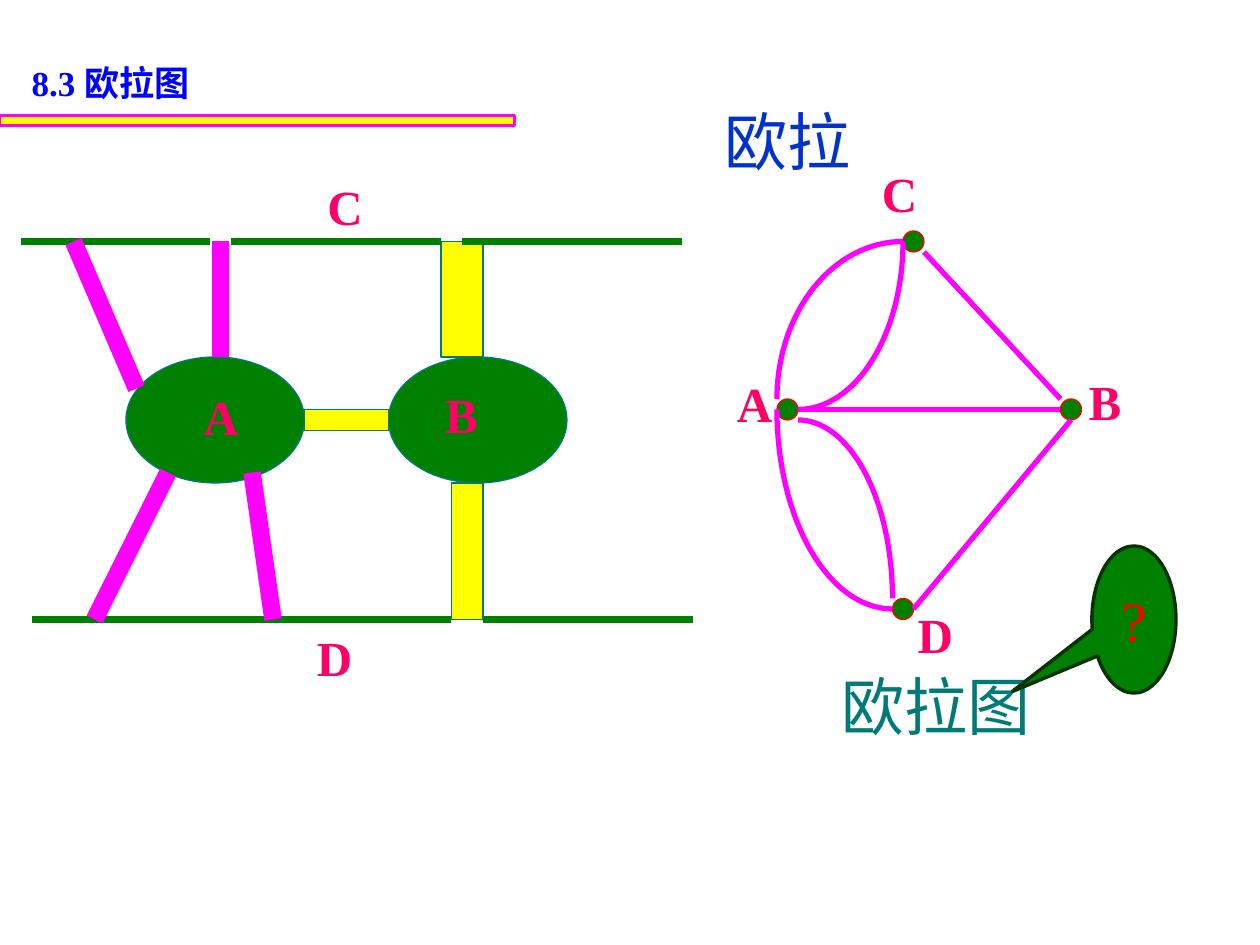
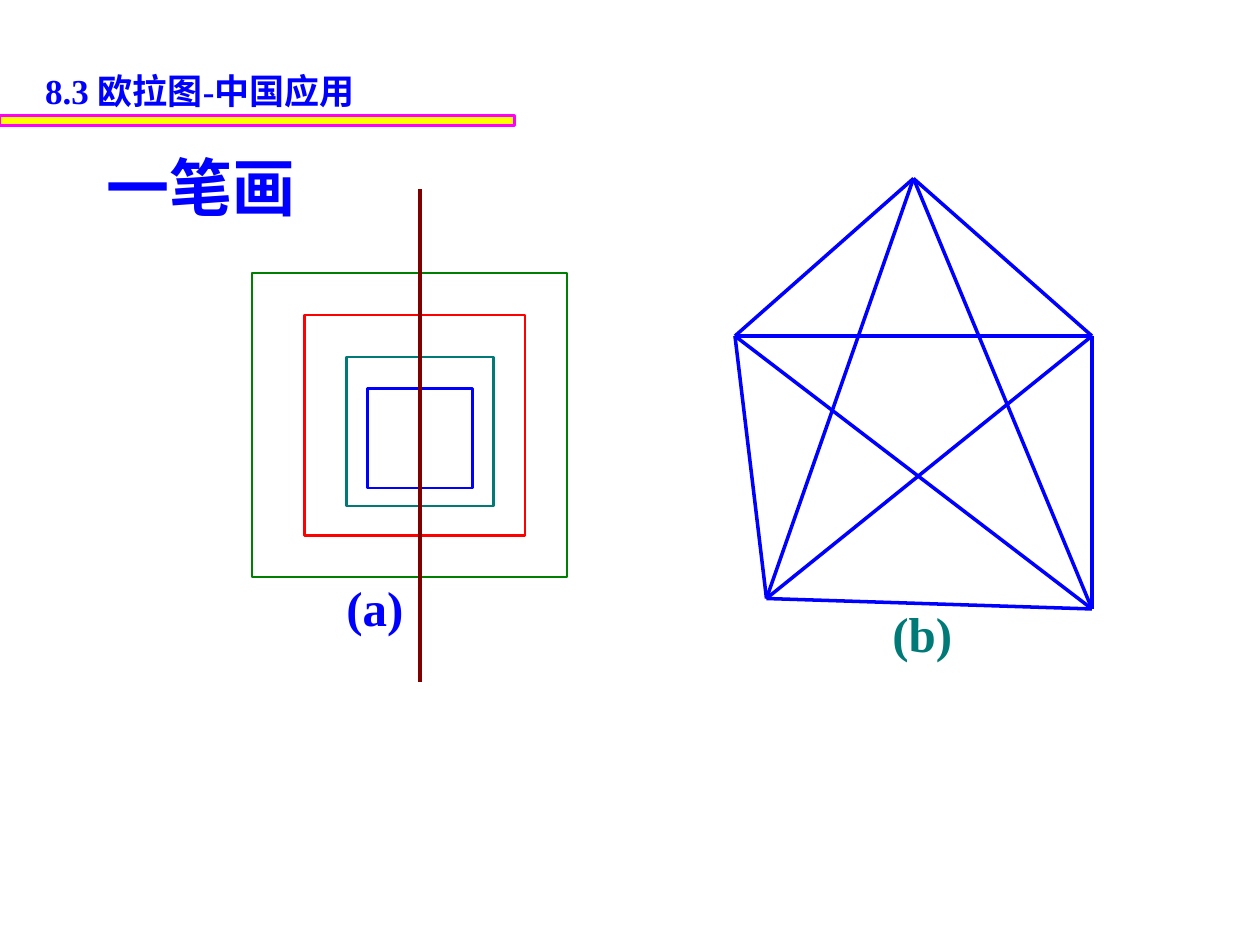
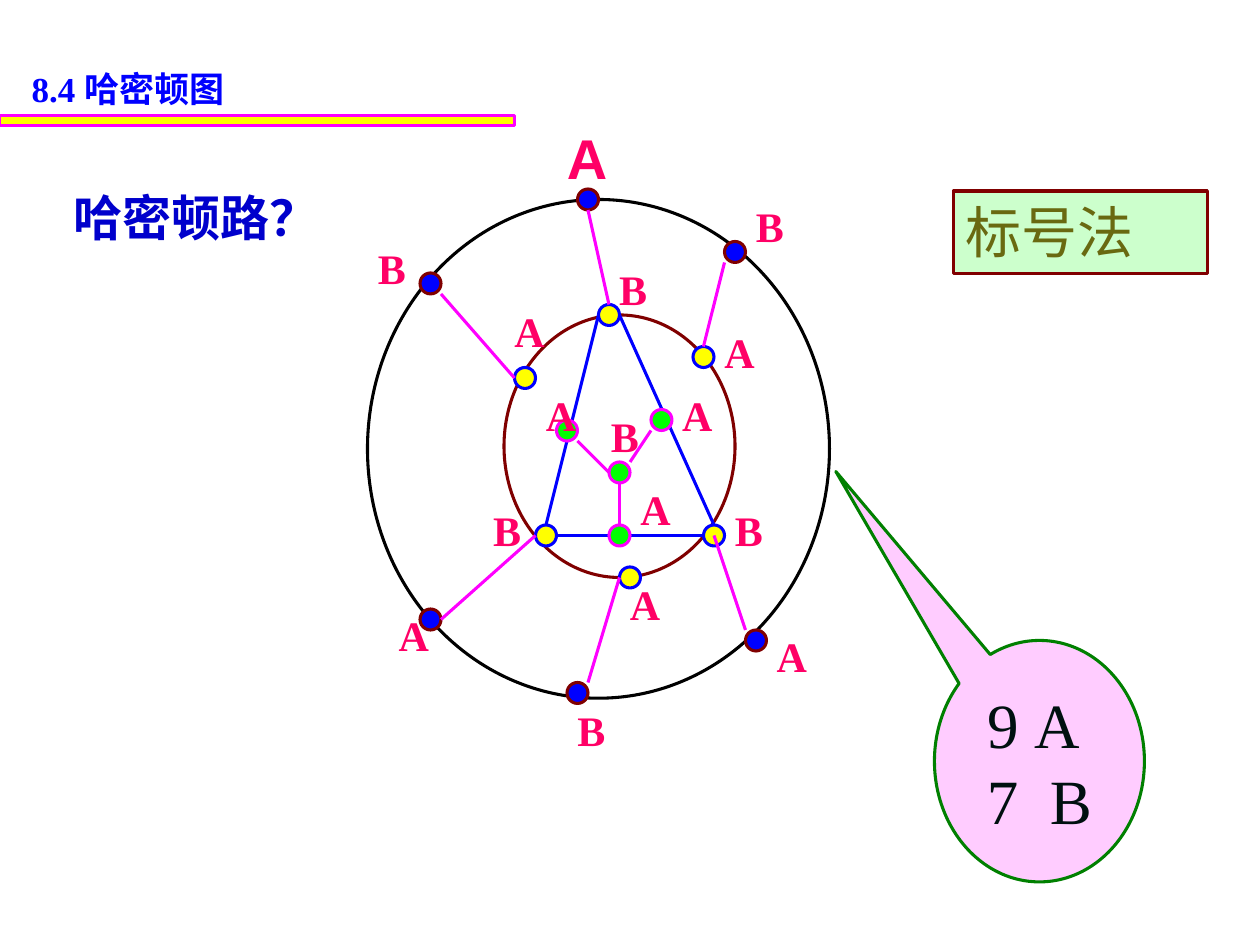
from itertools import combinations
from math import cos, pi, sin
from typing import NamedTuple, Optional

from lxml import etree
from pptx import Presentation
from pptx import util as u
from pptx.dml.color import RGBColor
from pptx.enum import shapes, text
from pptx.oxml import ns

COLORS = {
    "blue": "0000FF", "royal": "0033CC", "navy": "0000CC",
    "magenta": "FF00FF", "rose": "FF0066", "red": "FF0000",
    "maroon": "800000", "yellow": "FFFF00", "green": "008000",
    "forest": "003300", "lime": "00FF00", "teal": "007A77",
    "mint": "CCFFCC", "pink": "FFCCFF", "olive": "696911",
    "ink": "001010", "black": "000000",
}
SERIF, SANS = "Times New Roman", "Arial"
RECT, OVAL = shapes.MSO_SHAPE.RECTANGLE, shapes.MSO_SHAPE.OVAL
CALLOUT = shapes.MSO_SHAPE.OVAL_CALLOUT
DOT = 2  # node diameter in grid steps


class Style(NamedTuple):
    fill: Optional[str]
    line: str
    weight: float


class Box(NamedTuple):
    x: float
    y: float
    w: float
    h: float


class Label(NamedTuple):
    text: str
    x: float
    y: float
    size: int = 28
    color: str = "rose"
    font: str = SERIF
    bold: bool = True
    width: Optional[float] = None
    wrap: bool = False


class Arc(NamedTuple):
    """Quarter ellipse about (cx, cy), from (cx, cy + dy) to (cx + dx, cy)."""
    cx: float
    cy: float
    dx: float
    dy: float


def grid(n: float) -> int:
    """Length of n grid steps, twelve to 2.54 cm."""
    return round(n * u.Cm(2.54) / 12)


def rgb(name: str) -> RGBColor:
    return RGBColor.from_string(COLORS[name])


def set_font(p, size: int, color: str, font: str = SERIF, bold: bool = False) -> None:
    p.font.name, p.font.size, p.font.bold = font, u.Pt(size), bold
    p.font.color.rgb = rgb(color)


def set_line(sp, color: str, weight: float) -> None:
    sp.line.color.rgb = rgb(color)
    sp.line.width = u.Pt(weight)


def text_height(size: int) -> float:
    """Grid steps taken by one line of text with its insets."""
    return 0.2 * size + 1.2


def add_shape(s, kind, box: Box, style: Style):
    sp = s.shapes.add_shape(kind, *map(grid, box))
    sp.shadow.inherit = False
    if style.fill:
        sp.fill.solid()
        sp.fill.fore_color.rgb = rgb(style.fill)
    else:
        sp.fill.background()
    set_line(sp, style.line, style.weight)
    return sp


def add_dots(s, corners, style: Style) -> None:
    for x, y in corners:
        add_shape(s, OVAL, Box(x, y, DOT, DOT), style)


def add_lines(s, ends, color: str, weight: float) -> None:
    for end in ends:
        c = s.shapes.add_connector(shapes.MSO_CONNECTOR.STRAIGHT, *map(grid, end))
        set_line(c, color, weight)
        etree.SubElement(c._element.spPr, ns.qn("a:effectLst"))


def add_arc(s, arc: Arc, color: str, weight: float, steps: int = 32) -> None:
    angles = [pi / 2 * i / steps for i in range(steps + 1)]
    points = [(grid(arc.cx + arc.dx * sin(t)), grid(arc.cy + arc.dy * cos(t)))
              for t in angles]
    builder = s.shapes.build_freeform(*points[0])
    builder.add_line_segments(points[1:], close=False)
    sp = builder.convert_to_shape()
    sp.shadow.inherit = False
    sp.fill.background()
    set_line(sp, color, weight)


def add_label(s, label: Label) -> None:
    width = label.width or 0.12 * label.size + 2.4
    box = Box(label.x, label.y, width, text_height(label.size))
    tf = s.shapes.add_textbox(*map(grid, box)).text_frame
    tf.word_wrap = label.wrap
    tf.auto_size = text.MSO_AUTO_SIZE.SHAPE_TO_FIT_TEXT
    p = tf.paragraphs[0]
    p.text = label.text
    set_font(p, label.size, label.color, label.font, label.bold)


def add_callout(s, box: Box, tip, style: Style, lines, size: int, color: str):
    sp = add_shape(s, CALLOUT, box, style)
    sp.adjustments[0], sp.adjustments[1] = tip
    tf = sp.text_frame
    tf.vertical_anchor = text.MSO_ANCHOR.MIDDLE
    tf.text = "\n".join(lines)
    for p in tf.paragraphs:
        p.alignment = text.PP_ALIGN.CENTER
        set_font(p, size, color)
    return sp


def hang_paragraph(p, indent: u.Cm, start: Optional[int] = None) -> None:
    """Give a hanging indent, and a plain number when start is set."""
    pPr = p._p.get_or_add_pPr()
    pPr.set("marL", str(indent))
    pPr.set("indent", str(-indent))
    if start is not None:
        number = etree.Element(ns.qn("a:buAutoNum"), type="arabicPlain", startAt=str(start))
        pPr.insert(0, number)


def add_titled_slide(prs, title: str, x: float, y: float, width: float):
    s = prs.slides.add_slide(prs.slide_layouts[5])
    add_shape(s, RECT, Box(0, 11, 49, 1), Style("yellow", "magenta", 1.75))
    sp = s.shapes.title
    sp.left, sp.top, sp.width, sp.height = map(grid, (x, y, width, text_height(20)))
    tf = sp.text_frame
    tf.word_wrap = True
    tf.auto_size = text.MSO_AUTO_SIZE.NONE
    tf.vertical_anchor = text.MSO_ANCHOR.TOP
    p = tf.paragraphs[0]
    p.text = title
    p.alignment = text.PP_ALIGN.LEFT
    set_font(p, 20, "blue", bold=True)
    return s


def draw_bridge_map(s) -> None:
    land = Style("green", "teal", 0.75)
    bridge = Style("yellow", "teal", 0.75)
    add_shape(s, RECT, Box(42, 23, 4, 11), bridge)
    banks = {23: [(2, 20), (22, 42), (44, 65)], 59: [(3, 23), (23, 43), (46, 66)]}
    for y, spans in banks.items():
        add_lines(s, [(x1, y, x2, y) for x1, x2 in spans], "green", 4.25)
    for x in (12, 37):
        add_shape(s, OVAL, Box(x, 34, 17, 12), land)
    for box in (Box(29, 39, 8, 2), Box(43, 46, 3, 13)):
        add_shape(s, RECT, box, bridge)
    for label in (Label("C", 30, 16.2), Label("D", 29, 59.2),
                  Label("A", 18.2, 36.2), Label("B", 41.2, 36)):
        add_label(s, label)
    add_lines(s, [(7, 23, 13, 37), (21, 34, 21, 23), (24, 45, 26, 59), (16, 45, 9, 59)],
              "magenta", 10)


def draw_bridge_graph(s) -> None:
    add_dots(s, [(85, 57), (101, 38), (74, 38), (86, 22)], Style("green", "red", 0.75))
    for label in (Label("C", 82.8, 15), Label("D", 86.2, 57),
                  Label("A", 69, 35), Label("B", 102.5, 34.8)):
        add_label(s, label)
    add_lines(s, [(101, 38, 88, 24), (76, 39, 101, 39), (87, 58, 102, 40)], "magenta", 3)
    for arc in (Arc(86, 38, -12, -15), Arc(76, 57, 9, -17),
                Arc(76, 23, 10, 16), Arc(85, 39, -11, 19)):
        add_arc(s, arc, "magenta", 3)


def build_euler_slide(prs) -> None:
    s = add_titled_slide(prs, "8.3 欧拉图", 1.8, 5.3, 36.2)
    add_label(s, Label("欧拉", 67.8, 9.2, 36, "royal", SANS, False, 26.2, True))
    draw_bridge_graph(s)
    draw_bridge_map(s)
    add_label(s, Label("欧拉图", 79, 63, 36, "teal", SANS, False, 35.2, True))
    add_callout(s, Box(104, 52, 8, 14), (-1.45, 0.49), Style("green", "forest", 2),
                ["?"], 32, "red")


def build_one_stroke_slide(prs) -> None:
    s = add_titled_slide(prs, "8.3 欧拉图-中国应用", 3.1, 6, 36.2)
    add_label(s, Label("一笔画", 9, 13.6, 36, "blue", SANS, True, 42, True))
    frames = {"green": Box(24, 26, 30, 29), "red": Box(29, 30, 21, 21),
              "teal": Box(33, 34, 14, 14.2), "blue": Box(35, 37, 10, 9.5)}
    for color, box in frames.items():
        add_shape(s, RECT, box, Style(None, color, 1.25))
    add_lines(s, [(40, 18, 40, 65)], "maroon", 2.25)
    add_label(s, Label("(a)", 31.8, 54.4, color="blue", width=7.8))

    pentagon = [(87, 17), (104, 32), (104, 58), (73, 57), (70, 32)]
    add_lines(s, [a + b for a, b in combinations(pentagon, 2)], "blue", 2)
    add_label(s, Label("(b)", 83.8, 56.9, color="teal", width=8.2))


def build_hamilton_slide(prs) -> None:
    s = add_titled_slide(prs, "8.4 哈密顿图", 1.8, 5.8, 32.2)
    add_shape(s, OVAL, Box(35, 19, 44, 47.5), Style(None, "black", 1.75))
    add_dots(s, [(55, 18), (40, 26), (69, 23), (40, 58), (54, 65), (71, 60)],
             Style("blue", "maroon", 1.75))
    add_shape(s, OVAL, Box(48, 30, 22, 25), Style(None, "maroon", 1.75))
    add_dots(s, [(57, 29), (49, 35), (66, 33), (51, 50), (59, 54), (67, 50)],
             Style("yellow", "blue", 1.75))
    triangle = [(57, 30, 52, 50), (59, 30, 68, 50), (53, 51, 67, 51)]
    add_lines(s, triangle, "blue", 1.75)
    add_dots(s, [(58, 50), (53, 40), (62, 39), (58, 44)], Style("lime", "magenta", 1.75))
    spokes = [(55, 42, 58, 45), (60, 44, 62, 41), (59, 46, 59, 50)]
    links = [(42, 28, 49, 36), (56, 20, 58, 29), (67, 33, 69, 25),
             (42, 59, 51, 51), (56, 65, 59, 55), (71, 60, 68, 51)]
    add_lines(s, spokes + links, "magenta", 1.75)

    add_label(s, Label("哈密顿路？", 5.8, 17.3, 28, "navy", SANS, True, 35.2, True))
    add_label(s, Label("A", 52.8, 11.2, 32, font=SANS))
    marks = {
        "A": [(36.8, 57.5), (47.8, 28.5), (67.8, 30.5), (72.8, 59.5), (58.8, 54.5),
              (50.8, 36.5), (59.8, 45.5), (63.8, 36.5)],
        "B": [(34.8, 22.5), (70.8, 18.5), (57.8, 24.5), (53.8, 66.5), (68.8, 47.5),
              (45.8, 47.5), (57, 38.5)],
    }
    for mark, corners in marks.items():
        for x, y in corners:
            add_label(s, Label(mark, x, y, 24))

    counts = add_callout(s, Box(89, 61, 20, 23), (-0.97, -1.2),
                         Style("pink", "green", 1.75), ["A ", "7  B"], 36, "ink")
    for p, start in zip(counts.text_frame.paragraphs, (9, None)):
        hang_paragraph(p, u.Cm(0.95), start)

    method = add_shape(s, RECT, Box(90.8, 18.2, 24.2, 7.9), Style("mint", "maroon", 1.75))
    tf = method.text_frame
    tf.vertical_anchor = text.MSO_ANCHOR.TOP
    p = tf.paragraphs[0]
    p.text = "标号法"
    p.alignment = text.PP_ALIGN.LEFT
    set_font(p, 32, "olive", SANS)


def main() -> None:
    prs = Presentation()
    prs.slide_width, prs.slide_height = u.Cm(25.4), u.Cm(19.05)
    build_euler_slide(prs)
    build_one_stroke_slide(prs)
    build_hamilton_slide(prs)
    prs.save("out.pptx")


if __name__ == "__main__":
    main()
